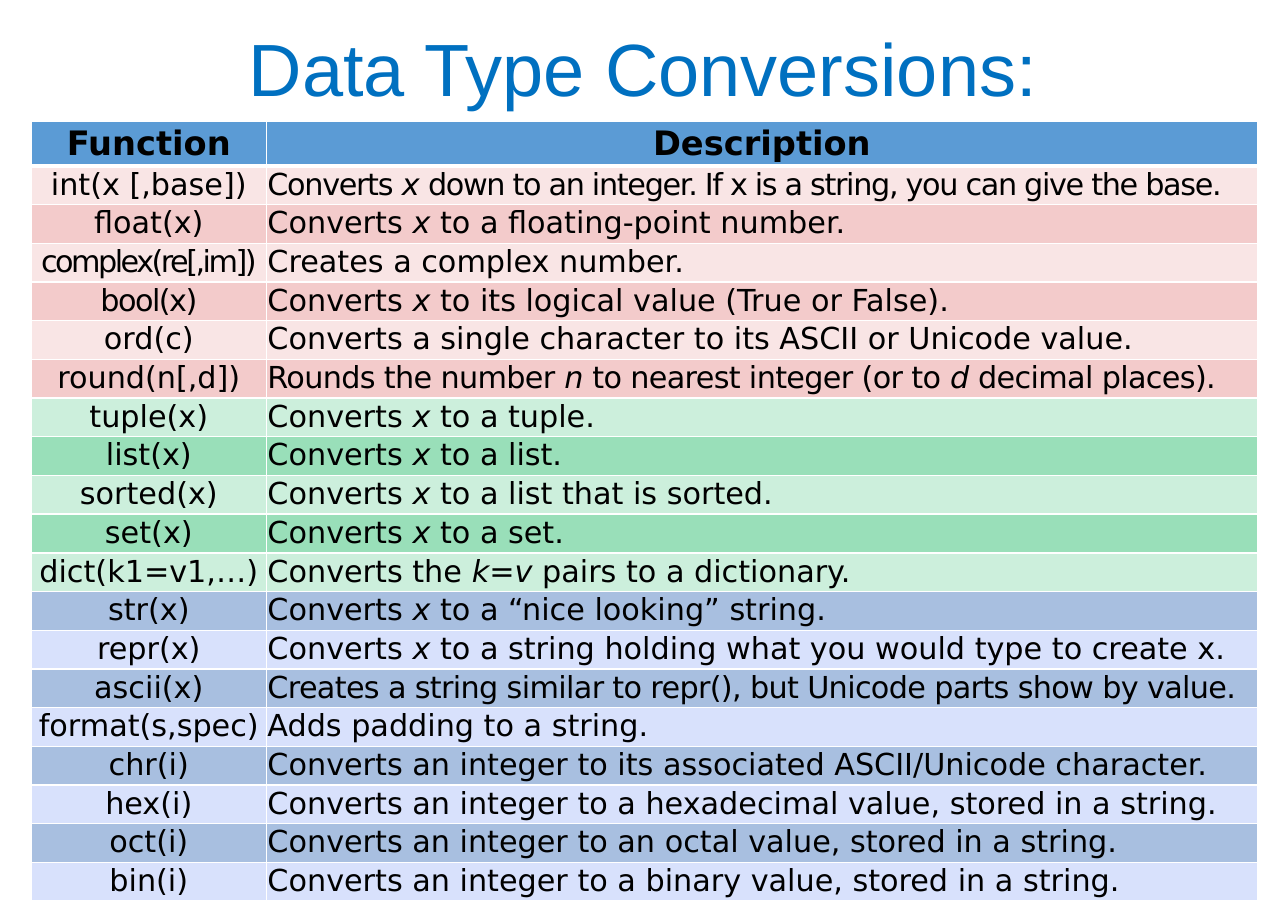
import dataclasses
import itertools

import lxml.etree
import pptx
import pptx.dml.color
import pptx.enum.text
import pptx.oxml.ns
import pptx.util

Inches = pptx.util.Inches
Align = pptx.enum.text.PP_ALIGN
Anchor = pptx.enum.text.MSO_ANCHOR


@dataclasses.dataclass(frozen=True)
class Theme:
    """Colours, fonts and type sizes of the slide."""
    title: str = "0070C0"
    text: str = "000000"
    head: str = "5B9BD5"
    line: str = "FFFFFF"
    red: tuple = ("F9E5E5", "F3CBCB")
    green: tuple = ("CCEFDC", "99DFB9")
    blue: tuple = ("A8BFE0", "D8E1FC")
    sans: str = "Arial"
    body: str = "DejaVu Sans"
    big: int = 44
    mid: int = 20
    small: int = 18


@dataclasses.dataclass(frozen=True)
class Entry:
    """One function, its description (*italic*) and letter spacing in points."""
    name: str
    about: str
    tight: float = 0
    snug: float = 0


THEME = Theme()
GROUPS = (
    (THEME.red, (
        Entry("int(x [,base])", "Converts *x* down to an integer. If x is a string, you can give the base.",
              snug=-0.8),
        Entry("float(x)", "Converts *x* to a floating-point number."),
        Entry("complex(re[,im])", "Creates a complex number.", tight=-1.5),
        Entry("bool(x)", "Converts *x* to its logical value (True or False).", tight=-0.9),
        Entry("ord(c)", "Converts a single character to its ASCII or Unicode value."),
        Entry("round(n[,d])", "Rounds the number *n* to nearest integer (or to *d* decimal places).",
              snug=-0.4),
    )),
    (THEME.green, (
        Entry("tuple(x)", "Converts *x* to a tuple."),
        Entry("list(x)", "Converts *x* to a list."),
        Entry("sorted(x)", "Converts *x* to a list that is sorted."),
        Entry("set(x)", "Converts *x* to a set."),
        Entry("dict(k1=v1,…)", "Converts the *k=v* pairs to a dictionary."),
    )),
    (THEME.blue, (
        Entry("str(x)", "Converts *x* to a “nice looking” string."),
        Entry("repr(x)", "Converts *x* to a string holding what you would type to create x."),
        Entry("ascii(x)", "Creates a string similar to repr(), but Unicode parts show by value.",
              snug=-0.4),
        Entry("format(s,spec)", "Adds padding to a string."),
        Entry("chr(i)", "Converts an integer to its associated ASCII/Unicode character."),
        Entry("hex(i)", "Converts an integer to a hexadecimal value, stored in a string."),
        Entry("oct(i)", "Converts an integer to an octal value, stored in a string."),
        Entry("bin(i)", "Converts an integer to a binary value, stored in a string."),
    )),
)


def paint(color):
    """Turn a hex string into a colour."""
    return pptx.dml.color.RGBColor.from_string(color)


def style(par, face, size, color, align):
    """Set the font and alignment of a paragraph."""
    par.alignment = align
    par.font.name = face
    par.font.size = pptx.util.Pt(size)
    par.font.color.rgb = paint(color)


def edge(cell, base=1):
    """Draw the cell borders, with the bottom one of the given weight."""
    props = cell._tc.get_or_add_tcPr()
    qn = pptx.oxml.ns.qn
    for spot, (side, width) in enumerate((("lnL", 1), ("lnR", 1), ("lnT", 1), ("lnB", base))):
        line = lxml.etree.Element(qn("a:" + side), w=str(pptx.util.Pt(width)))
        fill = lxml.etree.SubElement(line, qn("a:solidFill"))
        lxml.etree.SubElement(fill, qn("a:srgbClr"), val=THEME.line)
        props.insert(spot, line)


def write(cell, text, align, gap=0):
    """Write text into a cell, with *starred* parts in italics."""
    par = cell.text_frame.paragraphs[0]
    style(par, THEME.body, THEME.small, THEME.text, align)
    for spot, part in enumerate(text.split("*")):
        run = par.add_run()
        run.text = part
        if spot % 2:
            run.font.italic = True
        if gap:
            run._r.get_or_add_rPr().set("spc", str(round(gap * 100)))
    return par


def frame(cell, color, base=1):
    """Fill a cell and set its margins and borders."""
    cell.margin_left = cell.margin_right = cell.margin_top = Inches(0.01)
    cell.margin_bottom = 0
    cell.fill.solid()
    cell.fill.fore_color.rgb = paint(color)
    edge(cell, base)


def add_title(slide, text):
    """Place and format the slide title."""
    title = slide.shapes.title
    title.left, title.top = Inches(0.94), Inches(0.12)
    title.width, title.height = Inches(8.75), Inches(0.96)
    box = title.text_frame
    box.text = text
    box.auto_size = pptx.enum.text.MSO_AUTO_SIZE.NONE
    box.vertical_anchor = Anchor.MIDDLE
    par = box.paragraphs[0]
    style(par, THEME.sans, THEME.big, THEME.title, Align.CENTER)
    par.line_spacing = 0.9


def add_grid(slide, heads, groups):
    """Build the table of functions, shaded by group."""
    rows = [(entry, shade) for shades, entries in groups
            for entry, shade in zip(entries, itertools.cycle(shades))]
    table = slide.shapes.add_table(len(rows) + 1, 2, Inches(0.26), Inches(1),
                                   Inches(10.13), Inches(6.45)).table
    table.first_row = table.horz_banding = False
    for col, width in zip(table.columns, (1.94, 8.19)):
        col.width = Inches(width)
    for spot, row in enumerate(table.rows):
        row.height = Inches(0.32 if spot else 0.37)
    for cell, head in zip(table.rows[0].cells, heads):
        frame(cell, THEME.head, 3)
        cell.vertical_anchor = Anchor.MIDDLE
        par = write(cell, head, Align.CENTER)
        par.font.size = pptx.util.Pt(THEME.mid)
        par.font.bold = True
    for spot, (entry, shade) in enumerate(rows, 1):
        name, about = table.rows[spot].cells
        for cell in (name, about):
            frame(cell, shade)
        write(name, entry.name, Align.CENTER, entry.tight)
        write(about, entry.about, Align.JUSTIFY, entry.snug)


def main():
    """Build the slide and save it."""
    deck = pptx.Presentation()
    deck.slide_width, deck.slide_height = Inches(10.64), Inches(7.5)
    slide = deck.slides.add_slide(deck.slide_layouts[5])
    add_title(slide, "Data Type Conversions:")
    add_grid(slide, ("Function", "Description"), GROUPS)
    deck.save("out.pptx")


if __name__ == "__main__":
    main()
